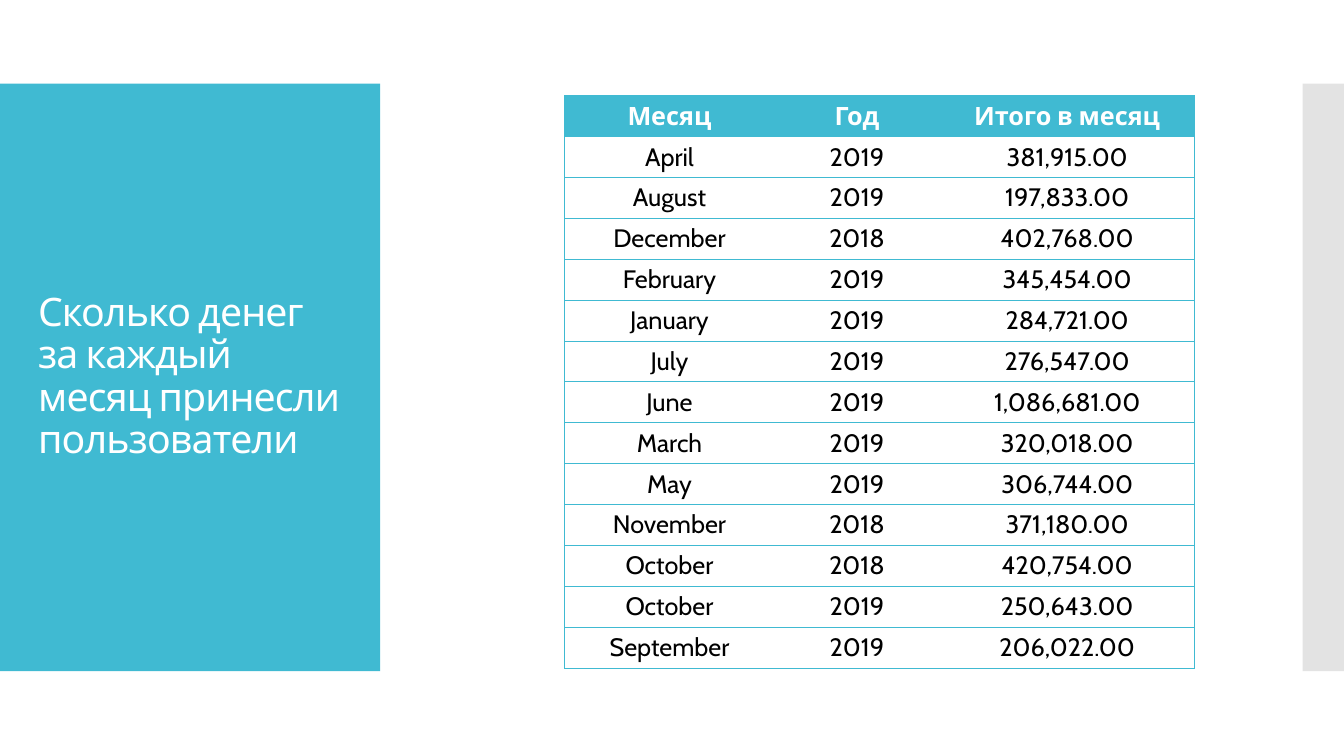
import pptx
import pptx.dml.color
import pptx.enum.shapes
import pptx.enum.text
import pptx.oxml
import pptx.oxml.ns
import pptx.util
from pptx.util import Inches

ACCENT = "40BAD2"
WHITE = "FFFFFF"
HEADERS = ("Месяц", "Год", "Итого в месяц")
INCOME = (
    ("April", "2019", "381,915.00"),
    ("August", "2019", "197,833.00"),
    ("December", "2018", "402,768.00"),
    ("February", "2019", "345,454.00"),
    ("January", "2019", "284,721.00"),
    ("July", "2019", "276,547.00"),
    ("June", "2019", "1,086,681.00"),
    ("March", "2019", "320,018.00"),
    ("May", "2019", "306,744.00"),
    ("November", "2018", "371,180.00"),
    ("October", "2018", "420,754.00"),
    ("October", "2019", "250,643.00"),
    ("September", "2019", "206,022.00"),
)
COLUMN_WIDTHS = (2.08, 1.64, 2.53)
TABLE_HEIGHT = 5.68


def color(value):
    """Turn a hex string into a colour."""
    return pptx.dml.color.RGBColor.from_string(value)


def write_text(frame, text, size=18, fill="000000", bold=False,
               align=pptx.enum.text.PP_ALIGN.LEFT, line_spacing=None, tracking=None):
    """Write one formatted paragraph into a text frame."""
    frame.word_wrap = True
    paragraph = frame.paragraphs[0]
    paragraph.alignment = align
    paragraph.line_spacing = line_spacing
    run = paragraph.add_run()
    run.text = text
    run.font.name = "Cabin"
    run.font.size = pptx.util.Pt(size)
    run.font.bold = bold
    run.font.color.rgb = color(fill)
    if tracking is not None:
        run.font._element.set("spc", str(round(tracking * 100)))


def add_panel(slide, left, width, fill, opacity=100):
    """Add a full-height side panel without an outline."""
    shape = slide.shapes.add_shape(
        pptx.enum.shapes.MSO_SHAPE.RECTANGLE,
        Inches(left), Inches(0.83), Inches(width), Inches(5.83))
    shape.shadow.inherit = False
    shape.line.fill.background()
    shape.fill.solid()
    shape.fill.fore_color.rgb = color(fill)
    if opacity < 100:
        tint = shape._element.spPr.find(".//" + pptx.oxml.ns.qn("a:srgbClr"))
        alpha = pptx.oxml.parse_xml(
            f'<a:alpha {pptx.oxml.ns.nsdecls("a")} val="{opacity * 1000}"/>')
        tint.append(alpha)


def add_title(slide, text):
    """Add the slide title over the left panel."""
    box = slide.shapes.add_textbox(Inches(0.28), Inches(1.23), Inches(3.22), Inches(5.03))
    box.text_frame.vertical_anchor = pptx.enum.text.MSO_ANCHOR.MIDDLE
    write_text(box.text_frame, text, size=28, fill=WHITE, line_spacing=0.9, tracking=-0.6)


def set_borders(cell, visible_sides):
    """Draw the listed cell sides and clear the others."""
    properties = cell._tc.get_or_add_tcPr()
    for position, side in enumerate("LRTB"):
        paint = "<a:noFill/>"
        if side in visible_sides:
            paint = f'<a:solidFill><a:srgbClr val="{ACCENT}"/></a:solidFill>'
        border = pptx.oxml.parse_xml(
            f'<a:ln{side} {pptx.oxml.ns.nsdecls("a")} w="9525">{paint}</a:ln{side}>')
        properties.insert(position, border)


def fill_cell(cell, text, header, sides):
    """Fill and format one table cell."""
    cell.margin_top = cell.margin_bottom = 0
    cell.vertical_anchor = pptx.enum.text.MSO_ANCHOR.MIDDLE
    if header:
        cell.fill.solid()
        cell.fill.fore_color.rgb = color(ACCENT)
    else:
        cell.fill.background()
    set_borders(cell, sides)
    write_text(cell.text_frame, text, fill=WHITE if header else "000000",
               bold=header, align=pptx.enum.text.PP_ALIGN.CENTER)


def add_income_table(slide):
    """Add the table of monthly income."""
    rows = (HEADERS,) + INCOME
    table = slide.shapes.add_table(
        len(rows), len(HEADERS), Inches(5.6), Inches(0.95),
        Inches(sum(COLUMN_WIDTHS)), Inches(TABLE_HEIGHT)).table
    for column, width in zip(table.columns, COLUMN_WIDTHS):
        column.width = Inches(width)
    for row_index, values in enumerate(rows):
        table.rows[row_index].height = Inches(TABLE_HEIGHT / len(rows))
        for column_index, text in enumerate(values):
            sides = "TB"
            if column_index == 0:
                sides += "L"
            if column_index == len(HEADERS) - 1:
                sides += "R"
            fill_cell(table.cell(row_index, column_index), text, row_index == 0, sides)


def main():
    """Build and save the slide."""
    presentation = pptx.Presentation()
    presentation.slide_width = Inches(13.33)
    presentation.slide_height = Inches(7.5)
    slide = presentation.slides.add_slide(presentation.slide_layouts[6])
    add_panel(slide, 0, 3.77, ACCENT)
    add_panel(slide, 12.92, 0.41, "C8C8C8", opacity=50)
    add_title(slide, "Сколько денег за каждый месяц принесли пользователи")
    add_income_table(slide)
    presentation.save("out.pptx")


if __name__ == "__main__":
    main()
